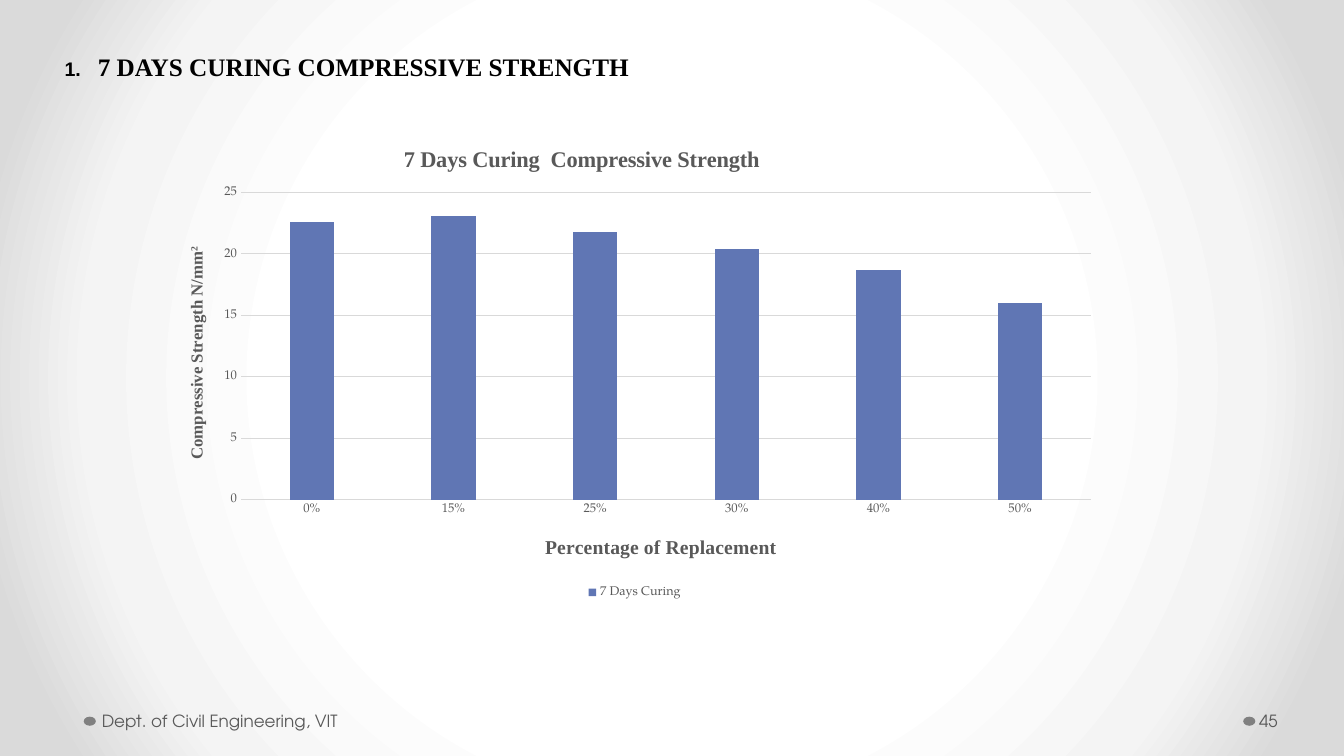
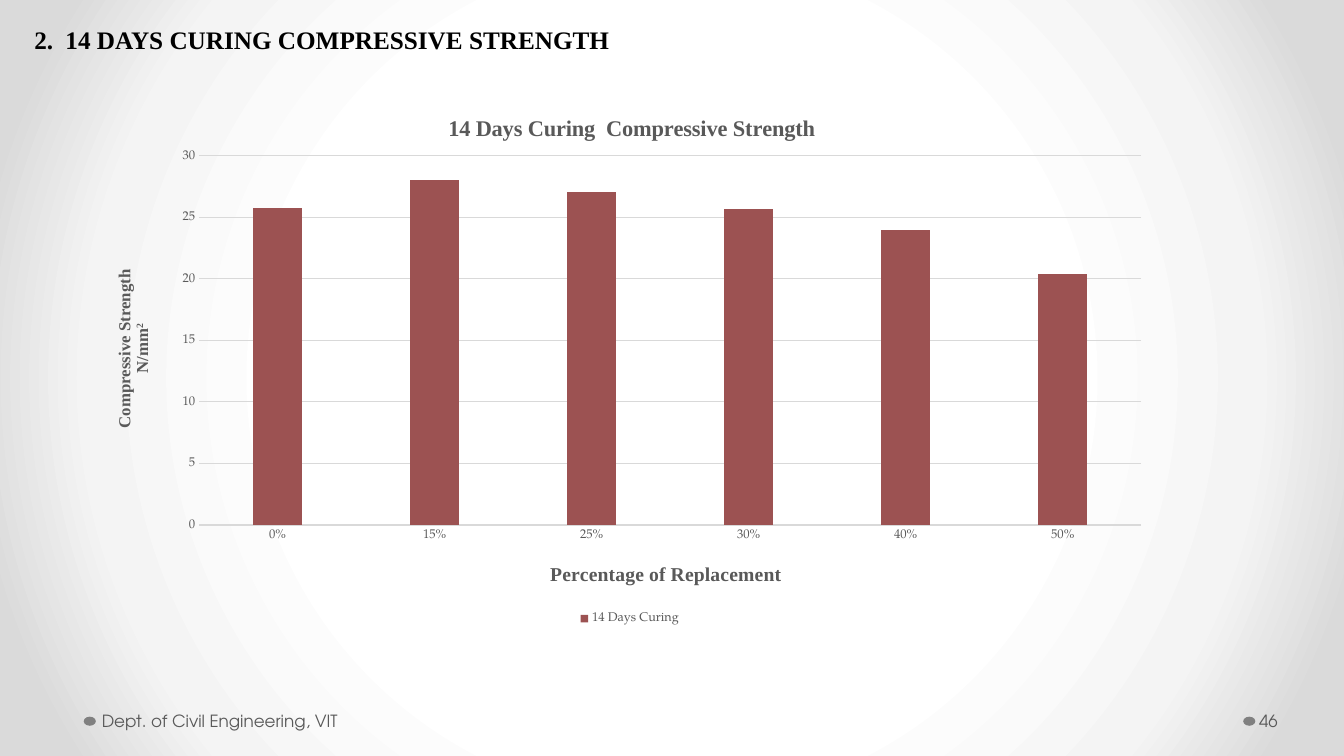
from dataclasses import dataclass
from typing import NamedTuple

from lxml import etree
from pptx import Presentation
from pptx import util as u
from pptx.chart.data import CategoryChartData
from pptx.dml.color import RGBColor
from pptx.enum import chart as ch
from pptx.enum import shapes, text
from pptx.oxml import parse_xml
from pptx.oxml.ns import nsdecls, qn

COLORS = {
    "ink": "000000",
    "grey": "595959",
    "grid": "D9D9D9",
    "dot": "808080",
    "blue": "6076B4",
    "red": "9C5252",
}
BACKDROP = ((50, "FFFFFF"), (76, "F4F4F4"), (92, "DADADA"))
SERIF, SANS = "Times New Roman", "Arial"
CHART_FONT, FOOTER_FONT = "TeX Gyre Pagella", "TeX Gyre Adventor"
WIDTH, HEIGHT = u.Inches(13.33), u.Inches(7.5)
FIRST_NUMBER = 45
REPLACEMENT = (0, 0.15, 0.25, 0.3, 0.4, 0.5)


class Frame(NamedTuple):
    """Left, top, width and height as percentages of the slide."""

    left: float
    top: float
    width: float
    height: float

    def lengths(self) -> tuple[int, int, int, int]:
        shares = zip(self, (WIDTH, HEIGHT, WIDTH, HEIGHT))
        return tuple(u.Emu(int(share * whole / 100)) for share, whole in shares)


class Spot(NamedTuple):
    """Left and top as percentages of the chart."""

    left: float
    top: float


@dataclass(frozen=True)
class Strength:
    number: str
    number_font: str
    number_size: int
    tab: float
    title: Frame
    days: int
    values: tuple[float, ...]
    color: str
    top_value: int
    unit_lines: tuple[str, ...]
    frame: Frame
    plot: Frame
    title_spot: Spot
    category_spot: Spot
    value_spot: Spot


STRENGTHS = (
    Strength("1.", SANS, 14, 0.33, Frame(4.05, 6.13, 50, 5.33), 7,
             (22.6, 23.1, 21.8, 20.4, 18.7, 16), "blue", 25,
             ("Compressive Strength N/mm",),
             Frame(11.85, 16.27, 70.74, 63.47), Frame(8.6, 14.5, 89.4, 64),
             Spot(25.3, 3.7), Spot(40.2, 85), Spot(2.5, 25.2)),
    Strength("2.", SERIF, 18, 0.31, Frame(1.8, 2.53, 50, 5.33), 14,
             (25.8, 28, 27.1, 25.7, 24, 20.4), "red", 30,
             ("Compressive Strength", "N/mm"),
             Frame(7.2, 11.6, 79.3, 71.6), Frame(9.6, 12.6, 88.4, 68.2),
             Spot(32.6, 4), Spot(42.2, 86.9), Spot(1.3, 33)),
)
DOTS = (Frame(92.5, 94.8, 0.9, 1.2), Frame(6.23, 94.8, 0.9, 1.2))
FOOTER = Frame(7.2, 92.67, 31.13, 5.33)
PAGE_NUMBER = Frame(93.47, 92.67, 6.15, 5.33)


def color(name: str) -> RGBColor:
    return RGBColor.from_string(COLORS[name])


def style(font, face: str, size: float, tone: str, bold: bool = False) -> None:
    font.name, font.size, font.bold = face, u.Pt(size), bold
    font.color.rgb = color(tone)


def paint_backdrop(master) -> None:
    master.background.fill.solid()
    solid = master.element.find(".//" + qn("p:bgPr")).find(qn("a:solidFill"))
    stops = "".join(
        f'<a:gs pos="{place * 1000}"><a:srgbClr val="{tone}"/></a:gs>'
        for place, tone in BACKDROP)
    solid.getparent().replace(solid, parse_xml(
        f'<a:gradFill {nsdecls("a")} rotWithShape="1"><a:gsLst>{stops}</a:gsLst>'
        '<a:path path="circle"><a:fillToRect l="50000" t="50000" r="50000" '
        'b="50000"/></a:path></a:gradFill>'))


def add_footer_box(page, frame: Frame, left_inset: float, right_inset: float):
    box = page.shapes.add_textbox(*frame.lengths()).text_frame
    box.word_wrap = True
    box.vertical_anchor = text.MSO_ANCHOR.MIDDLE
    box.margin_left, box.margin_right = u.Inches(left_inset), u.Inches(right_inset)
    para = box.paragraphs[0]
    style(para.font, FOOTER_FONT, 12, "grey")
    return para


def add_footer(page, number: int) -> None:
    for frame in DOTS:
        dot = page.shapes.add_shape(shapes.MSO_SHAPE.OVAL, *frame.lengths())
        dot.shadow.inherit = False
        dot.fill.solid()
        dot.fill.fore_color.rgb = color("dot")
        dot.line.fill.background()
    add_footer_box(page, FOOTER, 0.05, 0.1).add_run().text = "Dept. of Civil Engineering, VIT"
    para = add_footer_box(page, PAGE_NUMBER, 0.03, 0.05)
    para._p.append(parse_xml(
        f'<a:fld {nsdecls("a")} id="{{B6F15528-21DE-4FAA-801E-634DDDAF4B2B}}" '
        f'type="slidenum"><a:rPr lang="en-US"/><a:t>{number}</a:t></a:fld>'))


def add_title(page, strength: Strength) -> None:
    title = page.shapes.title
    title.left, title.top, title.width, title.height = strength.title.lengths()
    box = title.text_frame
    box.word_wrap = True
    box.auto_size = text.MSO_AUTO_SIZE.NONE
    box.vertical_anchor = text.MSO_ANCHOR.MIDDLE
    para = box.paragraphs[0]
    para.alignment = text.PP_ALIGN.LEFT
    tabs = etree.SubElement(para._p.get_or_add_pPr(), qn("a:tabLst"))
    etree.SubElement(tabs, qn("a:tab"), pos=str(u.Inches(strength.tab)), algn="l")
    for words, face, size in (
            (strength.number + "\t", strength.number_font, strength.number_size),
            (f"{strength.days} DAYS CURING COMPRESSIVE STRENGTH", SERIF, 18)):
        span = para.add_run()
        span.text = words
        style(span.font, face, size, "ink", True)


def place(element, index: int, spot: tuple[float, ...], inner: bool = False) -> None:
    for layout in element.findall(qn("c:layout")):
        element.remove(layout)
    target = '<c:layoutTarget val="inner"/>' if inner else ""
    modes = '<c:xMode val="edge"/><c:yMode val="edge"/>'
    shares = "".join(f'<c:{key} val="{share / 100:.3f}"/>'
                     for key, share in zip("xywh", spot))
    element.insert(index, parse_xml(
        f'<c:layout {nsdecls("c")}><c:manualLayout>{target}{modes}{shares}'
        "</c:manualLayout></c:layout>"))


def write_chart_title(title, lines: tuple[str, ...], size: int, spot: Spot,
                      superscript: str = "") -> None:
    box = title.text_frame
    for index, line in enumerate(lines):
        para = box.add_paragraph() if index else box.paragraphs[0]
        style(para.font, SERIF, size, "grey", True)
        para.add_run().text = line
    if superscript:
        span = para.add_run()
        span.text = superscript
        span._r.get_or_add_rPr().set("baseline", "30000")
        box._txBody.find(qn("a:bodyPr")).set("rot", "-5400000")
        box._txBody.find(qn("a:bodyPr")).set("vert", "horz")
    place(title.element, 1, spot)


def format_axis(axis, number_format: str) -> None:
    axis.major_tick_mark = axis.minor_tick_mark = ch.XL_TICK_MARK.NONE
    style(axis.tick_labels.font, CHART_FONT, 9, "grey")
    axis.tick_labels.number_format = number_format
    axis.tick_labels.number_format_is_linked = False


def rule(line) -> None:
    line.color.rgb = color("grid")
    line.width = u.Pt(0.75)


def add_strength_chart(page, strength: Strength) -> None:
    name = f"{strength.days} Days Curing"
    data = CategoryChartData()
    data.categories = REPLACEMENT
    data.categories.number_format = "0%"
    data.add_series(name, strength.values)
    chart = page.shapes.add_chart(
        ch.XL_CHART_TYPE.COLUMN_CLUSTERED, *strength.frame.lengths(), data).chart
    style(chart.font, CHART_FONT, 10, "ink")

    chart.has_legend = True
    chart.legend.position = ch.XL_LEGEND_POSITION.BOTTOM
    chart.legend.include_in_layout = False
    style(chart.legend.font, CHART_FONT, 9, "grey")

    plot = chart.plots[0]
    plot.vary_by_categories = False
    plot.gap_width, plot.overlap = 219, -27
    columns = plot.series[0].format.fill
    columns.solid()
    columns.fore_color.rgb = color(strength.color)

    categories, values = chart.category_axis, chart.value_axis
    format_axis(categories, "0%")
    format_axis(values, "General")
    rule(categories.format.line)
    rule(values.major_gridlines.format.line)
    values.format.line.fill.background()
    values.minimum_scale, values.maximum_scale = 0, strength.top_value
    values.major_unit = 5

    write_chart_title(chart.chart_title, (f"{name}  Compressive Strength",), 16,
                      strength.title_spot)
    write_chart_title(categories.axis_title, ("Percentage of Replacement",), 14,
                      strength.category_spot)
    write_chart_title(values.axis_title, strength.unit_lines, 12,
                      strength.value_spot, "2")
    place(chart.element.find(".//" + qn("c:plotArea")), 0, strength.plot, True)


def main() -> None:
    deck = Presentation()
    deck.slide_width, deck.slide_height = WIDTH, HEIGHT
    deck.element.set("firstSlideNum", str(FIRST_NUMBER))
    paint_backdrop(deck.slide_master)
    for number, strength in enumerate(STRENGTHS, FIRST_NUMBER):
        page = deck.slides.add_slide(deck.slide_layouts[5])
        add_footer(page, number)
        add_title(page, strength)
        add_strength_chart(page, strength)
    deck.save("out.pptx")


if __name__ == "__main__":
    main()
